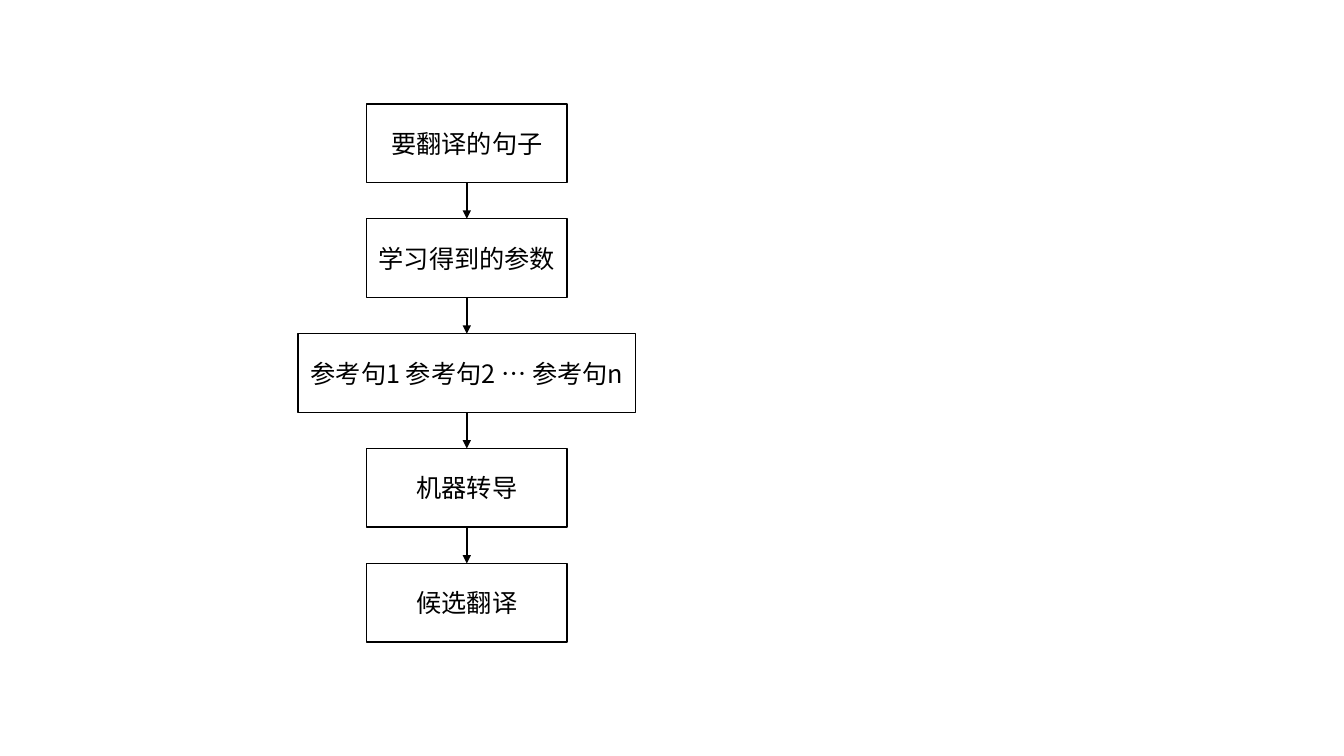
"""Build a slide with a top-down flowchart of example-based machine translation."""
from dataclasses import dataclass
from itertools import pairwise

from lxml.etree import SubElement
from pptx import Presentation
from pptx.dml.color import RGBColor
from pptx.enum.shapes import MSO_CONNECTOR, MSO_SHAPE
from pptx.enum.text import MSO_ANCHOR, PP_ALIGN
from pptx.oxml.ns import qn
from pptx.util import Inches, Pt


@dataclass(frozen=True)
class Theme:
    ink: RGBColor = RGBColor(0, 0, 0)
    paper: RGBColor = RGBColor(255, 255, 255)
    font: str = "Noto Sans CJK SC"
    text_size: Pt = Pt(18)
    line_width: Pt = Pt(1)


theme = Theme()


def write(shape, text, *, size=theme.text_size, color=theme.ink, font=theme.font):
    frame = shape.text_frame
    frame.word_wrap = True
    frame.vertical_anchor = MSO_ANCHOR.MIDDLE
    para = frame.paragraphs[0]
    para.alignment = PP_ALIGN.CENTER
    span = para.add_run()
    span.text = text
    span.font.size = size
    span.font.color.rgb = color
    span.font.name = font
    SubElement(span.font._element, qn("a:ea"), typeface=font)


deck = Presentation()
deck.slide_width = Inches(13.33)
deck.slide_height = Inches(7.5)
page = deck.slides.add_slide(deck.slide_layouts[6])
flowchart = page.shapes.add_group_shape()

center, top, pitch = 4.63, 1.03, 1.14
narrow, wide, height = 1.99, 3.35, 0.78
steps = [
    ("要翻译的句子", narrow),
    ("学习得到的参数", narrow),
    ("参考句1 参考句2 … 参考句n", wide),
    ("机器转导", narrow),
    ("候选翻译", narrow),
]

boxes = []
for row, (text, width) in enumerate(steps):
    box = flowchart.shapes.add_shape(
        MSO_SHAPE.RECTANGLE,
        Inches(center - width / 2), Inches(top + row * pitch),
        Inches(width), Inches(height),
    )
    box.shadow.inherit = False
    box.fill.solid()
    box.fill.fore_color.rgb = theme.paper
    box.line.color.rgb = theme.ink
    box.line.width = theme.line_width
    write(box, text)
    boxes.append(box)

for upper, lower in pairwise(boxes):
    arrow = flowchart.shapes.add_connector(
        MSO_CONNECTOR.STRAIGHT,
        Inches(center), upper.top + upper.height, Inches(center), lower.top,
    )
    arrow.begin_connect(upper, 2)
    arrow.end_connect(lower, 0)
    arrow.line.color.rgb = theme.ink
    arrow.line.width = theme.line_width
    SubElement(arrow.line._get_or_add_ln(), qn("a:tailEnd"), type="triangle")
    SubElement(arrow._element.spPr, qn("a:effectLst"))

deck.save("out.pptx")
